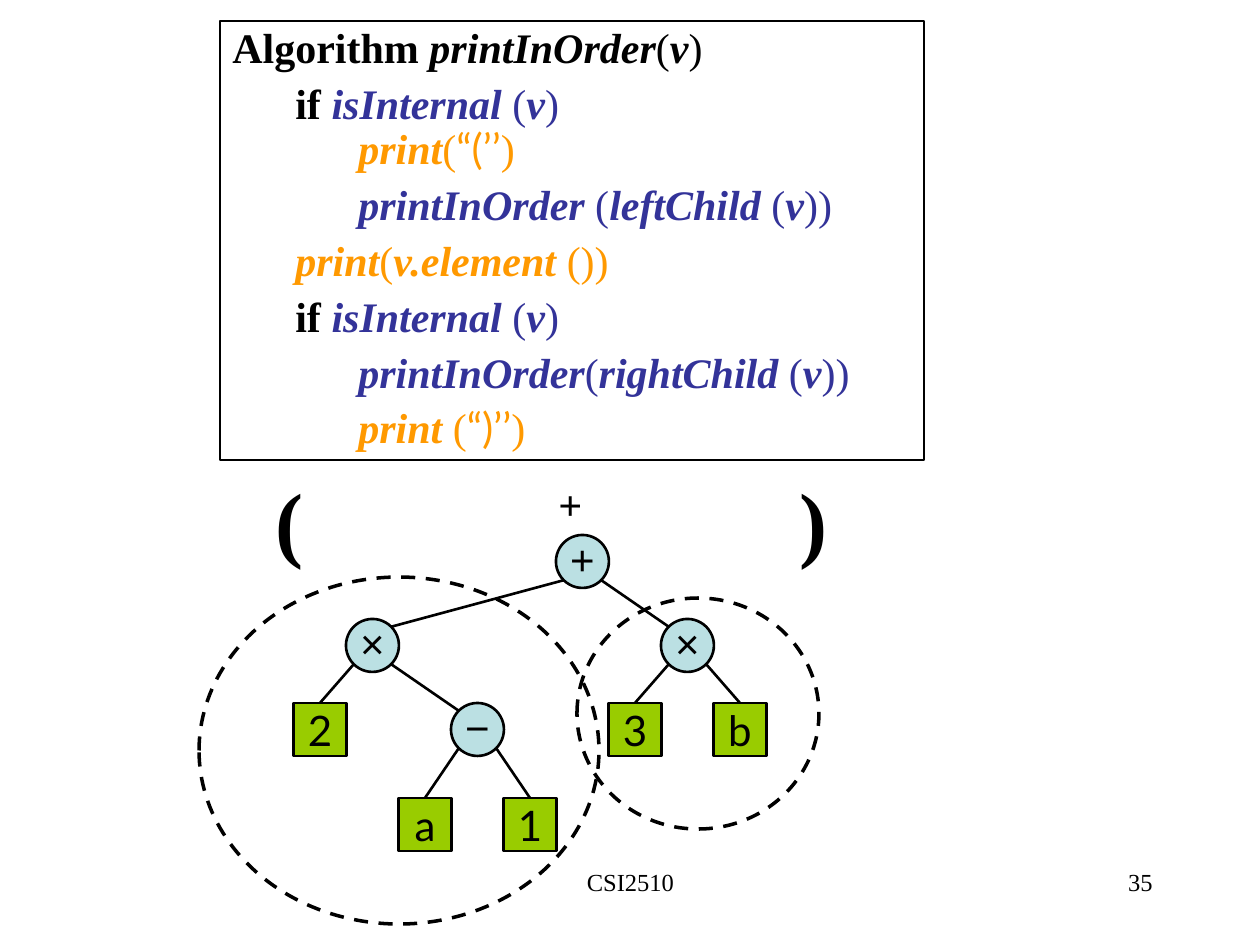
from math import sqrt

from lxml.etree import SubElement
from pptx import Presentation
from pptx.dml.color import RGBColor
from pptx.enum.dml import MSO_LINE_DASH_STYLE as Dash
from pptx.enum.shapes import MSO_CONNECTOR as Connector, MSO_SHAPE as Shape
from pptx.enum.text import MSO_ANCHOR as Anchor, PP_ALIGN as Align
from pptx.oxml.ns import qn
from pptx.util import Pt

COLORS = {"black": "000000", "blue": "333399", "orange": "FF9900",
          "circle": "BBE0E3", "leaf": "99CC00"}
SERIF, SANS, SYMBOL = "Times New Roman", "Lato", "Arial"
PX = 914400 / 126
INDENT = 63

STYLES = {
    "keyword": {"bold": True},
    "name": {"bold": True, "italic": True},
    "plain": {},
    "quote": {"name": SANS},
}
# Each line: indent level, then runs of (text, style, color)
ALGORITHM = [
    (0, [("Algorithm ", "keyword", "black"), ("printInOrder", "name", "black"),
         ("(", "plain", "black"), ("v", "name", "black"), (")", "plain", "black")]),
    (1, [("if ", "keyword", "black"), ("isInternal ", "name", "blue"),
         ("(", "plain", "blue"), ("v", "name", "blue"), (")", "plain", "blue"),
         ("\n", "plain", "blue"), ("\t", "plain", "blue"),
         ("print", "name", "orange"), ("(", "plain", "orange"),
         ("“(’’", "quote", "orange"), (")", "plain", "orange")]),
    (2, [("printInOrder", "name", "blue"), (" (", "plain", "blue"),
         ("leftChild ", "name", "blue"), ("(", "plain", "blue"),
         ("v", "name", "blue"), ("))", "plain", "blue")]),
    (1, [("print", "name", "orange"), ("(", "plain", "orange"),
         ("v.element ", "name", "orange"), ("())", "plain", "orange")]),
    (1, [("if ", "keyword", "black"), ("isInternal ", "name", "blue"),
         ("(", "plain", "blue"), ("v", "name", "blue"), (")", "plain", "blue")]),
    (2, [("printInOrder", "name", "blue"), ("(", "plain", "blue"),
         ("rightChild ", "name", "blue"), ("(", "plain", "blue"),
         ("v", "name", "blue"), ("))", "plain", "blue")]),
    (1, [("\t", "plain", "blue"), ("print ", "name", "orange"),
         ("(", "plain", "orange"), ("“)’’", "quote", "orange"),
         (")", "plain", "orange")]),
]
ALGORITHM_BOX = (220, 21, 704, 439)

# Tree nodes: key, symbol, column, row, parent key
NODES = [
    ("root", "+", 5, 0, None),
    ("right", "×", 7, 1, "root"),
    ("left", "×", 1, 1, "root"),
    ("minus", "−", 3, 2, "left"),
    ("two", "2", 0, 2, "left"),
    ("a", "a", 2, 3, "minus"),
    ("one", "1", 4, 3, "minus"),
    ("three", "3", 6, 2, "right"),
    ("b", "b", 8, 2, "right"),
]
NODE_SIZE = 53
FIRST_CENTER, COLUMN_STEP = 320, 52.5
ROW_TOPS = (535, 619, 703, 798)

SUBTREE_RINGS = [(199, 577, 400, 347), (577, 598, 242, 231)]
# Labels: text, box, size, bold, alignment, wrap
LABELS = [
    ("CSI2510", (431, 861, 399, 63), 14, False, Align.CENTER, True),
    ("35", (903, 861, 262, 63), 14, False, Align.RIGHT, True),
    ("(", (263, 462, 53, 113), 48, True, Align.LEFT, False),
    ("+", (546, 472, 49, 63), 24, True, Align.LEFT, False),
    (")", (787, 462, 53, 113), 48, True, Align.LEFT, False),
]


def emu(*lengths):
    return [round(length * PX) for length in lengths]


def rgb(color):
    return RGBColor.from_string(COLORS[color])


def add_run(paragraph, text, color="black", size=24, name=SERIF, **style):
    run = paragraph.add_run()
    run.text = text
    run.font.color.rgb = rgb(color)
    for key, value in {"size": Pt(size), "name": name, **style}.items():
        setattr(run.font, key, value)


def add_outlined(shapes, kind, box, width, fill=None):
    shape = shapes.add_shape(kind, *emu(*box))
    shape.shadow.inherit = False
    if fill:
        shape.fill.solid()
        shape.fill.fore_color.rgb = rgb(fill)
    else:
        shape.fill.background()
    shape.line.color.rgb = rgb("black")
    shape.line.width = Pt(width)
    return shape


def add_algorithm(slide):
    shape = add_outlined(slide.shapes, Shape.RECTANGLE, ALGORITHM_BOX, 0.75)
    frame = shape.text_frame
    frame.word_wrap = True
    frame.vertical_anchor = Anchor.TOP
    for index, (level, runs) in enumerate(ALGORITHM):
        paragraph = frame.add_paragraph() if index else frame.paragraphs[0]
        paragraph.alignment = Align.LEFT
        paragraph.level = level
        paragraph.line_spacing = 0.9
        paragraph.space_before = Pt(6 if index else 0)
        properties = paragraph._p.get_or_add_pPr()
        properties.set("marL", str(emu(level * INDENT)[0]))
        properties.set("indent", "0")
        if any(text == "\t" for text, _, _ in runs):
            tabs = SubElement(properties, qn("a:tabLst"))
            SubElement(tabs, qn("a:tab"), pos=str(emu(2 * INDENT)[0]), algn="l")
        for text, style, color in runs:
            if text == "\n":
                paragraph.add_line_break()
            else:
                add_run(paragraph, text, color, **STYLES[style])


def add_node(shapes, symbol, center, top, is_leaf):
    box = (center - NODE_SIZE / 2, top, NODE_SIZE, NODE_SIZE)
    kind, fill, font = ((Shape.RECTANGLE, "leaf", SANS) if is_leaf
                        else (Shape.OVAL, "circle", SYMBOL))
    frame = add_outlined(shapes, kind, box, 1.5, fill).text_frame
    frame.word_wrap = False
    frame.vertical_anchor = Anchor.MIDDLE
    if not is_leaf:
        frame.margin_left = frame.margin_right = frame.margin_top = 0
    paragraph = frame.paragraphs[0]
    paragraph.alignment = Align.CENTER
    add_run(paragraph, symbol, name=font)


def add_edge(shapes, parent, child, is_leaf):
    """Join the parent's lower diagonal point to the child's facing point."""
    radius = NODE_SIZE / 2
    diagonal = radius / sqrt(2)
    (parent_x, parent_top), (child_x, child_top) = parent, child
    side = 1 if child_x > parent_x else -1
    start = (parent_x + side * diagonal, parent_top + radius + diagonal)
    end = ((child_x, child_top) if is_leaf
           else (child_x - side * diagonal, child_top + radius - diagonal))
    line = shapes.add_connector(Connector.STRAIGHT, *emu(*start, *end))
    line.line.color.rgb = rgb("black")
    line.line.width = Pt(1.5)
    SubElement(line._element.spPr, qn("a:effectLst"))


def add_tree(slide):
    shapes = slide.shapes.add_group_shape().shapes
    parents = {parent for *_, parent in NODES}
    places = {key: (FIRST_CENTER + column * COLUMN_STEP, ROW_TOPS[row])
              for key, _, column, row, _ in NODES}
    for key, symbol, *_ in NODES:
        add_node(shapes, symbol, *places[key], key not in parents)
    for key, *_, parent in NODES:
        if parent:
            add_edge(shapes, places[parent], places[key], key not in parents)


def add_label(slide, text, box, size, bold, alignment, wrap):
    frame = slide.shapes.add_textbox(*emu(*box)).text_frame
    frame.word_wrap = wrap
    paragraph = frame.paragraphs[0]
    paragraph.alignment = alignment
    add_run(paragraph, text, size=size, bold=bold)


def main():
    presentation = Presentation()
    presentation.slide_width, presentation.slide_height = emu(1260, 945)
    slide = presentation.slides.add_slide(presentation.slide_layouts[6])
    add_tree(slide)
    add_algorithm(slide)
    for box in SUBTREE_RINGS:
        ring = add_outlined(slide.shapes, Shape.OVAL, box, 2)
        ring.line.dash_style = Dash.DASH
    for label in LABELS:
        add_label(slide, *label)
    presentation.save("out.pptx")


if __name__ == "__main__":
    main()
